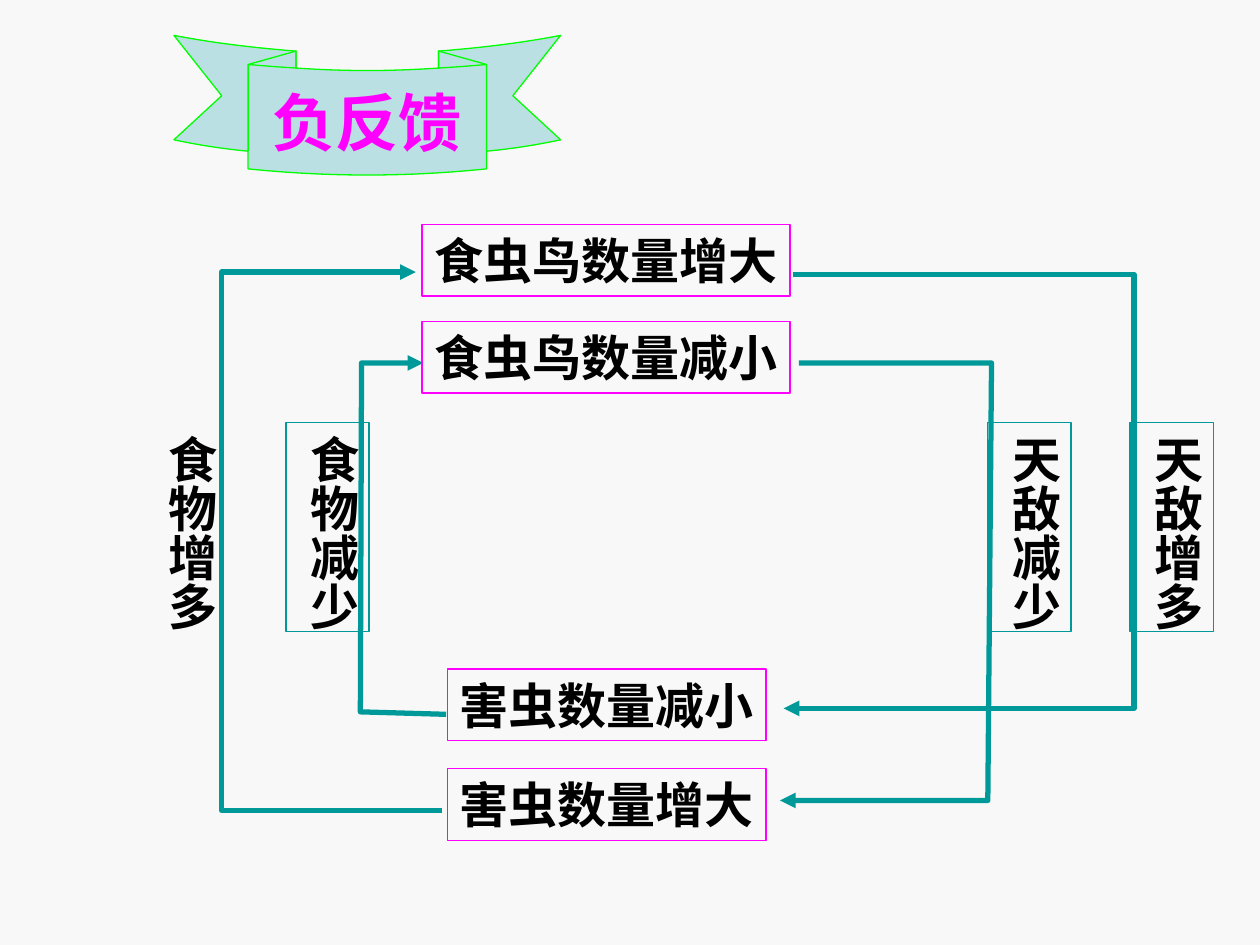
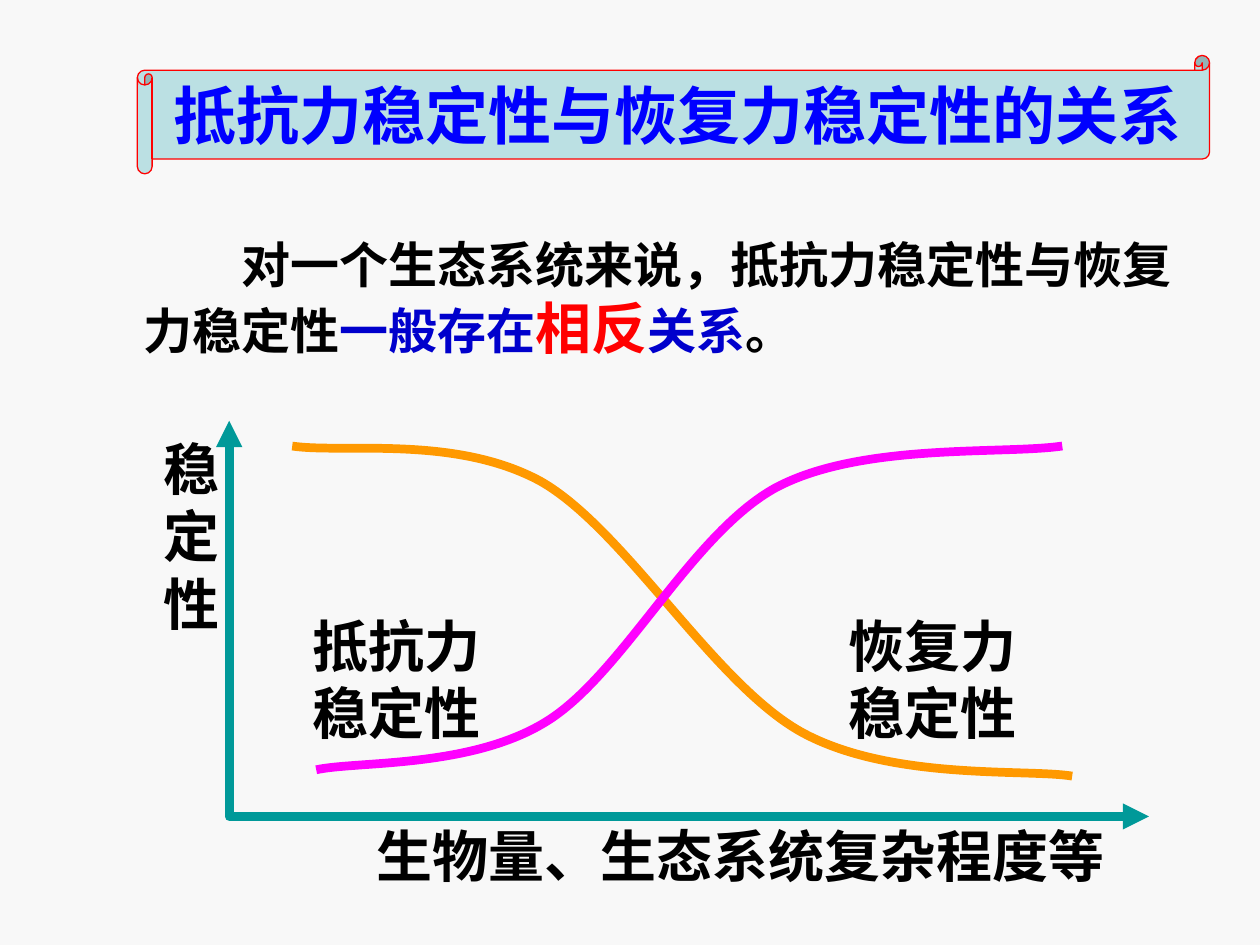
"""Build two slides on feedback and stability in ecosystems."""
from dataclasses import dataclass

from lxml import etree
from pptx import Presentation
from pptx.dml.color import RGBColor
from pptx.enum.shapes import MSO_SHAPE
from pptx.enum.text import MSO_ANCHOR, PP_ALIGN
from pptx.oxml.ns import qn
from pptx.util import Pt

RECTANGLE, SCROLL = MSO_SHAPE.RECTANGLE, MSO_SHAPE.HORIZONTAL_SCROLL
TOP, MIDDLE = MSO_ANCHOR.TOP, MSO_ANCHOR.MIDDLE
LEFT, CENTER, RIGHT = PP_ALIGN.LEFT, PP_ALIGN.CENTER, PP_ALIGN.RIGHT


@dataclass(frozen=True)
class Theme:
    """Hold the colours, fonts and type sizes of the deck."""
    paper: str = "F8F8F8"
    ink: str = "000000"
    banner: str = "BBE0E3"
    teal: str = "009999"
    magenta: str = "FF00FF"
    orange: str = "FF9900"
    green: str = "00FF00"
    red: str = "FF0000"
    blue: str = "0000FF"
    navy: str = "0000CC"
    latin: str = "Arial"
    chinese: str = "Noto Sans CJK SC"
    title: int = 36
    label: int = 32
    body: int = 28
    hairline: float = 0.75
    arrow: int = 3
    curve: int = 5


THEME = Theme()
RIBBON_CENTRE = 209.9
RIBBON_HALF = [
    (209.9, 40.3), (196.5, 40.3), (183, 39.8), (169.2, 38.9), (169.2, 29.2),
    (146, 27.4), (122, 24.6), (99.4, 20.2), (126.7, 54.7), (99.4, 79.9),
    (113, 82.8), (127, 85), (141.8, 86.4), (141.8, 96.5),
    (164, 98.8), (187, 100), (209.9, 100)]
RIBBON_KINDS = "CLCLLCLC"
FOLD = [(141.8, 86.4), (141.8, 36.9), (169.2, 29.2), (169.2, 38.9),
        (160, 38.4), (151, 37.7), (141.8, 36.9)]


def apply(target, formats):
    """Set each named attribute of the target."""
    for name, value in formats.items():
        setattr(target, name, value)


def paint(shape, line=None, width=THEME.hairline, fill=None):
    """Set the line and fill of a shape and remove its shadow."""
    shape.shadow.inherit = False
    for part, colour in ((shape.fill, fill), (shape.line.fill, line)):
        if colour:
            part.solid()
            part.fore_color.rgb = RGBColor.from_string(colour)
        else:
            part.background()
    if line:
        shape.line.width = Pt(width)


def write(shape, spans, font=THEME.chinese, align=LEFT, anchor=TOP,
          margins=(0, 0, 0, 0), wrap=True, indent=0):
    """Write spans of (text, size, colour) as one bold paragraph."""
    frame = shape.text_frame
    left, top, right, bottom = map(Pt, margins)
    apply(frame, {"margin_left": left, "margin_top": top, "margin_right": right,
                  "margin_bottom": bottom, "word_wrap": wrap,
                  "vertical_anchor": anchor})
    para = frame.paragraphs[0]
    para.alignment = align
    if indent:
        para._p.get_or_add_pPr().set("indent", str(Pt(indent)))
    for text, size, colour in spans:
        span = para.add_run()
        span.text = text
        apply(span.font, {"name": font, "size": Pt(size), "bold": True})
        span.font.color.rgb = RGBColor.from_string(colour)
        east = etree.SubElement(span.font._element, qn("a:ea"))
        east.set("typeface", THEME.chinese)


def add_text(page, place, spans, **formats):
    """Add a plain text box."""
    box = page.shapes.add_textbox(*map(Pt, place))
    write(box, spans, **formats)
    return box


def add_state(page, place, text):
    """Add a framed state of the feedback loop."""
    box = page.shapes.add_shape(RECTANGLE, *map(Pt, place))
    paint(box, THEME.magenta)
    write(box, [(text, THEME.body, THEME.ink)], THEME.latin,
          margins=(7.2, 3.6, 7.2, 3.6), wrap=False)


def add_cause(page, left, text, framed=True):
    """Add a vertical label beside an arrow."""
    box = page.shapes.add_shape(RECTANGLE, *map(Pt, (left, 241.5, 47.5, 119.5)))
    paint(box, THEME.teal if framed else None)
    write(box, [(text, THEME.body, THEME.ink)], THEME.latin,
          margins=(3.6, 7.2, 3.6, 7.2), wrap=False)
    box.text_frame._txBody.bodyPr.set("vert", "eaVert")


def add_outline(page, points, kinds="", closed=False, ends=(), **look):
    """Draw points as lines (L) and curves (C), with optional arrowheads."""
    points = [(Pt(x), Pt(y)) for x, y in points]
    builder = page.shapes.build_freeform(*points[0])
    builder.add_line_segments(points[1:], close=closed)
    shape = builder.convert_to_shape()
    steps = iter(shape._element.findall(".//" + qn("a:lnTo")))
    for kind in kinds:
        step = next(steps)
        if kind == "C":
            step.tag = qn("a:cubicBezTo")
            for _ in range(2):
                extra = next(steps)
                step.append(extra[0])
                extra.getparent().remove(extra)
    paint(shape, **look)
    for end in ends:
        etree.SubElement(shape.line._get_or_add_ln(), qn(f"a:{end}")).set("type", "triangle")
    return shape


def mirror(points):
    """Reflect points about the middle of the ribbon."""
    return [(2 * RIBBON_CENTRE - x, y) for x, y in points]


def add_ribbon(page, text):
    """Add the curved ribbon with its title."""
    points = RIBBON_HALF + mirror(RIBBON_HALF)[-2::-1]
    ribbon = add_outline(page, points, RIBBON_KINDS + RIBBON_KINDS[::-1],
                         closed=True, line=THEME.green, fill=THEME.banner)
    write(ribbon, [(text, THEME.title, THEME.magenta)], THEME.latin, CENTER, MIDDLE,
          margins=(7.2, 21.6, 7.2, 3.6), wrap=False)
    for fold in (FOLD, mirror(FOLD)):
        add_outline(page, fold, "LLLC", line=THEME.green)


def add_scroll(page, place, text):
    """Add the scroll with its title."""
    scroll = page.shapes.add_shape(SCROLL, *map(Pt, place))
    paint(scroll, THEME.red, fill=THEME.banner)
    write(scroll, [(text, THEME.title, THEME.blue)], THEME.latin, CENTER, MIDDLE,
          margins=(7.2, 3.6, 7.2, 3.6), wrap=False)


def add_page(deck):
    """Add a blank page with the paper colour."""
    page = deck.slides.add_slide(deck.slide_layouts[6])
    page.background.fill.solid()
    page.background.fill.fore_color.rgb = RGBColor.from_string(THEME.paper)
    return page


def build_feedback(deck):
    """Build the negative feedback loop."""
    page = add_page(deck)
    routes = [
        [(254.9, 408.2), (205.9, 406.8), (206.6, 207.4), (241.9, 207.4)],
        [(453, 156.7), (648, 156.7), (648, 404.8), (447.8, 404.8)],
        [(456.5, 207.4), (566.6, 207.4), (564.5, 457.4), (445.7, 457.4)],
        [(252.7, 463), (126.7, 463), (126.7, 155.5), (237.6, 155.5)]]
    for route in routes:
        add_outline(page, route, ends=["tailEnd"], line=THEME.teal, width=THEME.arrow)
    add_cause(page, 163.4, "食物减少")
    add_cause(page, 645.8, "天敌增多")
    add_cause(page, 564.5, "天敌减少")
    add_cause(page, 82.1, "食物增多", framed=False)
    add_ribbon(page, "负反馈")
    states = [(241.2, 128.2, 210.2, "食虫鸟数量增大"), (241.2, 183.6, 210.2, "食虫鸟数量减小"),
              (255.6, 382.3, 182.2, "害虫数量减小"), (255.6, 439.2, 182.2, "害虫数量增大")]
    for left, top, width, text in states:
        add_state(page, (left, top, width, 41), text)


def build_stability(deck):
    """Build the relation of resistance and resilience."""
    page = add_page(deck)
    falling = [(612.7, 443.5), (586.8, 439.2), (509, 446.4), (457.9, 418.3), (407.5, 390.2),
               (357.1, 302.4), (308.9, 275), (259.9, 248.4), (196.6, 259.2), (167, 254.9)]
    rising = [(180.7, 439.9), (203, 434.9), (268.6, 439.2), (311.8, 412.6), (355.7, 385.9),
              (394.6, 305.3), (443.5, 278.6), (492.5, 252.7), (573.1, 259.9), (607, 254.9)]
    for points, colour in ((falling, THEME.orange), (rising, THEME.magenta)):
        add_outline(page, points, "CCC", line=colour, width=THEME.curve)
    add_outline(page, [(131, 240.5), (131, 466.6), (656.6, 466.6)],
                ends=["headEnd", "tailEnd"], line=THEME.teal, width=THEME.curve)
    labels = [((484.6, 349.2, 123.8, 77), "恢复力稳定性", LEFT),
              ((178.6, 349.2, 121, 77), "抵抗力稳定性", LEFT),
              ((93.6, 248.4, 36, 115.2), "稳定性", LEFT),
              ((161.3, 469.4, 470.2, 38.2), "生物量、生态系统复杂程度等", RIGHT)]
    for place, text, align in labels:
        add_text(page, place, [(text, THEME.label, THEME.ink)], align=align)
    add_scroll(page, (78.5, 31.7, 612.7, 67.7), "抵抗力稳定性与恢复力稳定性的关系")
    add_text(page, (82.1, 133.9, 612.7, 72), [
        ("对一个生态系统来说，抵抗力稳定性与恢复力稳定性", THEME.body, THEME.ink),
        ("一般存在", THEME.body, THEME.navy), ("相反", THEME.label, THEME.red),
        ("关系", THEME.body, THEME.navy), ("。", THEME.body, THEME.ink)],
        indent=2 * THEME.body)


def main():
    """Build and save the deck."""
    deck = Presentation()
    apply(deck, {"slide_width": Pt(720), "slide_height": Pt(540)})
    build_feedback(deck)
    build_stability(deck)
    deck.save("out.pptx")


if __name__ == "__main__":
    main()
